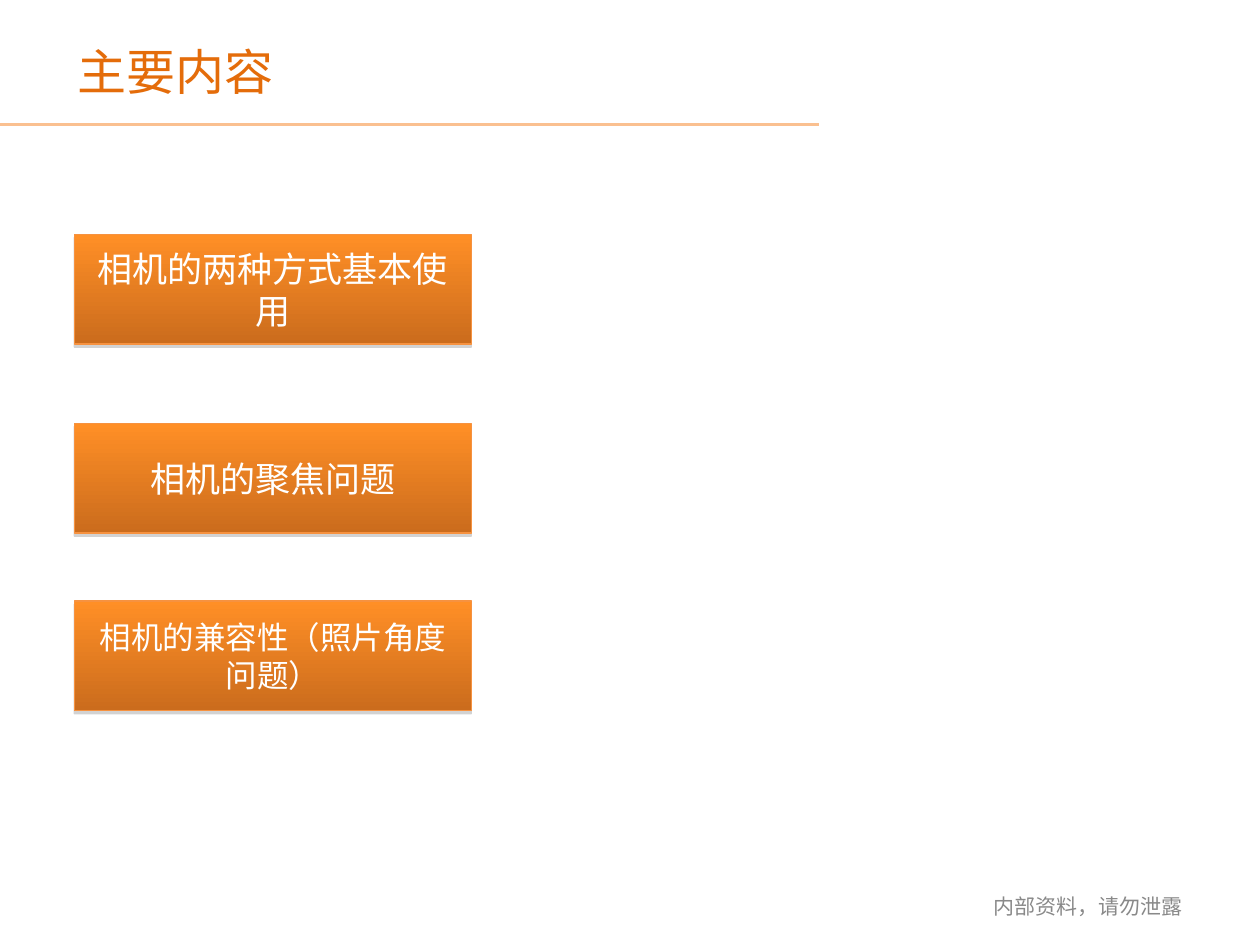
from lxml import etree
from pptx import Presentation
from pptx.dml.color import RGBColor
from pptx.enum.shapes import MSO_CONNECTOR, MSO_SHAPE
from pptx.enum.text import MSO_ANCHOR, MSO_AUTO_SIZE, PP_ALIGN
from pptx.oxml.ns import qn
from pptx.util import Inches, Pt

RECTANGLE = MSO_SHAPE.RECTANGLE
STRAIGHT = MSO_CONNECTOR.STRAIGHT
CENTER = PP_ALIGN.CENTER
TOP, MIDDLE = MSO_ANCHOR.TOP, MSO_ANCHOR.MIDDLE
FIT_SHAPE = MSO_AUTO_SIZE.SHAPE_TO_FIT_TEXT

COLORS = {
    "title": "E46C0A",
    "rule": "FAC090",
    "topic_top": "FF8F26",
    "topic_bottom": "CB6C1D",
    "topic_border": "F69240",
    "topic_text": "FFFFFF",
    "shadow": "808080",
    "footer": "898989",
}
CHINESE_FONT = "Noto Sans CJK SC"
LATIN_FONT = "Calibri"

# text, top, font size
TOPICS = [
    ("相机的两种方式基本使用", 1.86, 20),
    ("相机的聚焦问题", 3.36, 20),
    ("相机的兼容性（照片角度问题）", 4.77, 18),
]


def rgb(name):
    return RGBColor.from_string(COLORS[name])


class PageBuilder:
    def __init__(self, page):
        self.page = page

    def set_text(self, box, text, size, color, font=CHINESE_FONT, anchor=MIDDLE, wrap=True):
        frame = box.text_frame
        frame.text = text
        frame.word_wrap = wrap
        frame.vertical_anchor = anchor
        para = frame.paragraphs[0]
        para.alignment = CENTER
        span = para.runs[0]
        span.font.size = Pt(size)
        span.font.name = font
        span.font.color.rgb = rgb(color)
        east_asian = etree.SubElement(span.font._element, qn("a:ea"))
        east_asian.set("typeface", CHINESE_FONT)

    def label(self, left, top, width, height, *text_args, **text_style):
        box = self.page.shapes.add_textbox(
            Inches(left), Inches(top), Inches(width), Inches(height))
        self.set_text(box, *text_args, **text_style)
        return box

    def rule(self, left, right, y):
        line = self.page.shapes.add_connector(
            STRAIGHT, Inches(left), Inches(y), Inches(right), Inches(y))
        line.line.color.rgb = rgb("rule")
        line.line.width = Pt(2)
        etree.SubElement(line._element.spPr, qn("a:effectLst"))

    def topic(self, text, top, size):
        box = self.page.shapes.add_shape(
            RECTANGLE, Inches(0.59), Inches(top), Inches(3.15), Inches(0.87))
        box.fill.gradient()
        box.fill.gradient_angle = 270
        for stop, color in zip(box.fill.gradient_stops, ("topic_top", "topic_bottom")):
            stop.color.rgb = rgb(color)
        box.line.color.rgb = rgb("topic_border")
        box.line.width = Pt(0.75)
        self.drop_shadow(box)
        self.set_text(box, text, size, "topic_text")

    def drop_shadow(self, box):
        """Add a sharp, 35 % opaque shadow straight below the box."""
        box.shadow.inherit = False
        effects = box._element.spPr.find(qn("a:effectLst"))
        shadow = etree.SubElement(
            effects, qn("a:outerShdw"), blurRad="0", dist=str(Pt(1.8)),
            dir="5400000", rotWithShape="0")
        color = etree.SubElement(shadow, qn("a:srgbClr"), val=COLORS["shadow"])
        etree.SubElement(color, qn("a:alpha"), val="35000")


def main():
    deck = Presentation()
    deck.slide_width, deck.slide_height = Inches(10), Inches(7.5)
    builder = PageBuilder(deck.slides.add_slide(deck.slide_layouts[6]))

    builder.rule(0, 6.5, 0.99)
    for text, top, size in TOPICS:
        builder.topic(text, top, size)
    title = builder.label(0.52, 0.28, 1.75, 0.57, "主要内容", 28, "title",
                          anchor=TOP, wrap=False)
    title.text_frame.auto_size = FIT_SHAPE
    builder.label(7.76, 6.99, 1.75, 0.4, "内部资料，请勿泄露", 12, "footer",
                  font=LATIN_FONT)

    deck.save("out.pptx")


if __name__ == "__main__":
    main()
